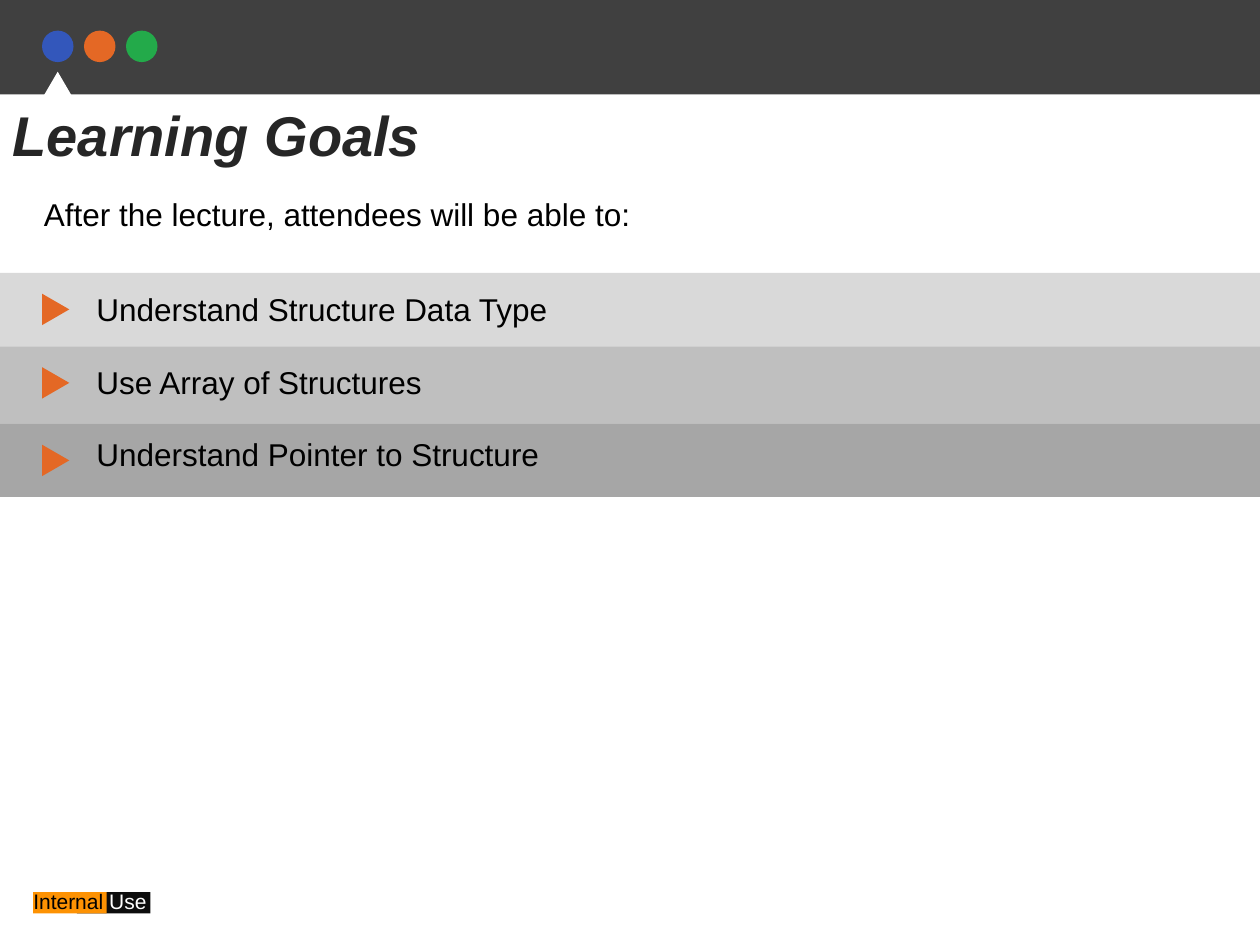
"""Build the Learning Goals slide."""
from pptx import Presentation, util as u
from pptx.dml.color import RGBColor
from pptx.enum import shapes, text

Pt = u.Pt
KIND = shapes.MSO_SHAPE


def add_shape(kind, x, y, w, h, color, rotation=0):
    sp = s.shapes.add_shape(kind, Pt(x), Pt(y), Pt(w), Pt(h))
    sp.shadow.inherit = False
    sp.fill.solid()
    sp.fill.fore_color.rgb = RGBColor.from_string(color)
    sp.line.fill.background()
    sp.rotation = rotation


def set_text(sp, x, y, w, h, size, *runs):
    sp.left, sp.top, sp.width, sp.height = Pt(x), Pt(y), Pt(w), Pt(h)
    tf = sp.text_frame
    tf.word_wrap = True
    tf.auto_size = text.MSO_AUTO_SIZE.NONE
    tf.vertical_anchor = text.MSO_ANCHOR.TOP
    p = tf.paragraphs[0]
    p.alignment = text.PP_ALIGN.LEFT
    p.font.size, p.font.name = Pt(size), "Arial"
    for words, color in runs:
        r = p.add_run()
        r.text = words
        r.font.color.rgb = RGBColor.from_string(color)
    return p


prs = Presentation()
prs.slide_width, prs.slide_height = Pt(720), Pt(540)
s = prs.slides.add_slide(prs.slide_layouts[5])

add_shape(KIND.RECTANGLE, 0, 0, 720, 54, "404040")
for i, color in enumerate(("3357BB", "E46825", "23AA4A")):
    add_shape(KIND.OVAL, 24 + 24 * i, 17.5, 18, 18, color)
add_shape(KIND.ISOSCELES_TRIANGLE, 12, 41, 42, 36, "FFFFFF")

add_shape(KIND.RECTANGLE, 44, 509.75, 42, 12.25, "0D0D0D")
add_shape(KIND.RECTANGLE, 19, 509.75, 42, 12.25, "FD9203")
label = s.shapes.add_textbox(0, 0, 0, 0)
set_text(label, 12, 504, 108, 21.8, 12, ("Internal ", "000000"), ("Use", "FFFFFF"))

title = s.shapes.title
p = set_text(title, 0, 54, 336, 46, 32, ("Learning Goals", "262626"))
p.font.bold = p.font.italic = True
s.shapes._spTree.append(title._element)

intro = s.shapes.add_textbox(0, 0, 0, 0)
set_text(intro, 18, 108, 504, 36, 18,
         ("After the lecture, attendees will be able to:", "000000"))

goals = (
    ("Understand Structure Data Type", "D9D9D9", 156, 42, 162, 169),
    ("Use Array of Structures", "BFBFBF", 198, 44, 204, 211),
    ("Understand Pointer to Structure", "A6A6A6", 242, 42, 244.8, 255.3),
)
for words, color, band_y, band_h, text_y, arrow_y in goals:
    add_shape(KIND.RECTANGLE, 0, band_y, 720, band_h, color)
    add_shape(KIND.ISOSCELES_TRIANGLE, 22.8, arrow_y, 18, 15.6, "E46825", 90)
    goal = s.shapes.add_textbox(0, 0, 0, 0)
    set_text(goal, 48, text_y, 642, 29, 18, (words, "000000"))

prs.save("out.pptx")
